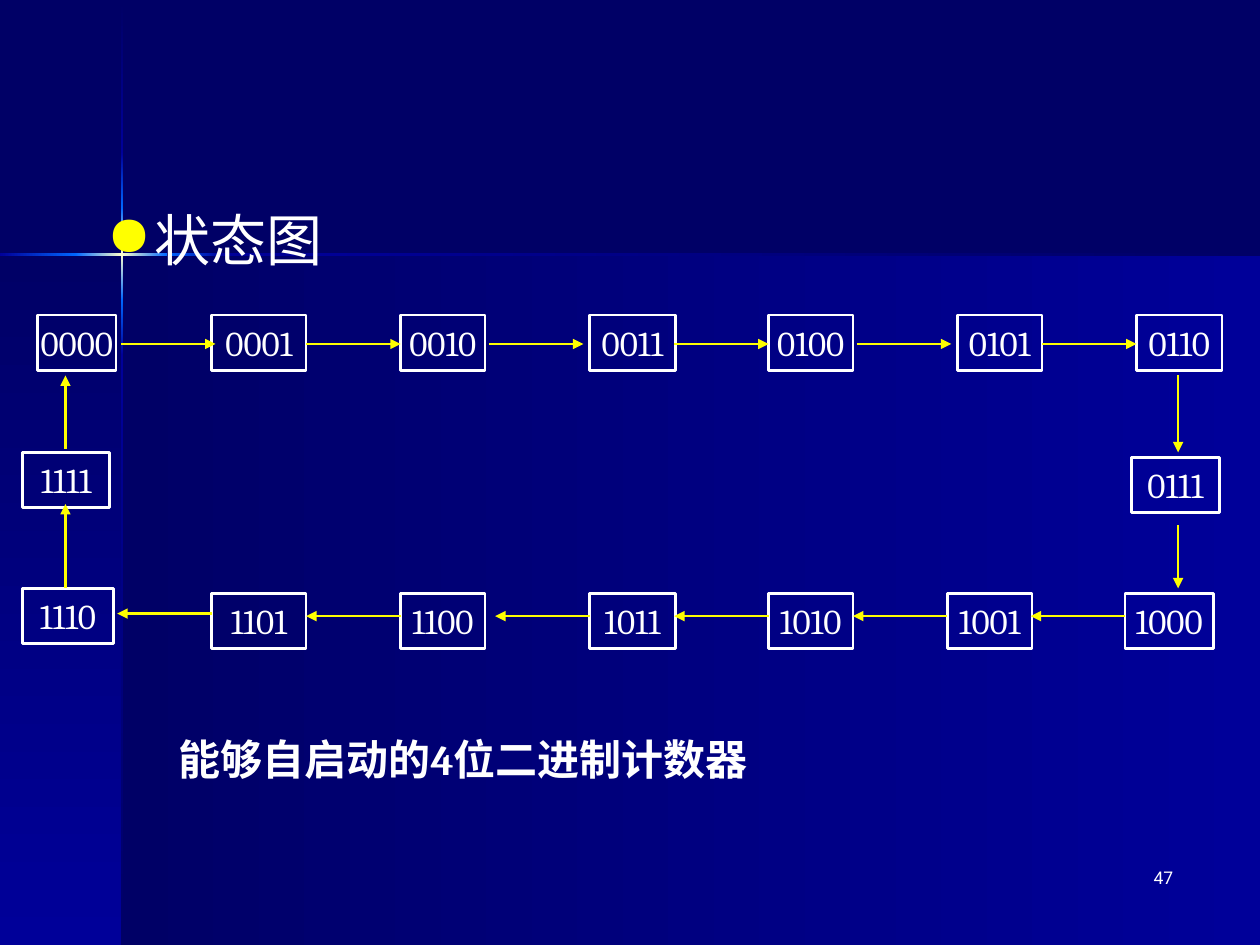
"""Build the state diagram slide of a self-starting 4-bit binary counter."""
from copy import deepcopy

from lxml import etree
from pptx import Presentation
from pptx import util as u
from pptx.dml.color import RGBColor
from pptx.enum import shapes, text
from pptx.oxml.ns import qn

COLORS = {
    "night": "000066",
    "navy": "000099",
    "azure": "0066FF",
    "cream": "FFFFCC",
    "white": "FFFFFF",
    "yellow": "FFFF00",
}
PANELS = [
    ((0.97, 2.02, 9.03, 5.48), ("night", "navy"), 0),
    ((0, 2.02, 0.97, 5.48), ("night", "navy"), 90),
]
GLOW = ("azure", "cream", "azure")
VERTICAL_BEAM = [
    (0.01, 1.21, ("night", "navy")),
    (2.82, 4.68, ("navy", "night")),
    (2.38, 0.44, ("azure", "navy")),
    (1.21, 0.44, ("navy", "azure")),
    (1.65, 0.73, GLOW),
]
HORIZONTAL_BEAM = [
    (1.77, 8.23, ("navy", "night")),
    (0, 0.61, ("navy", "azure")),
    (1.33, 0.44, ("azure", "navy")),
    (0.6, 0.73, GLOW),
]
STATE_HEIGHT = 0.44
TOP_ROW, BOTTOM_ROW = 2.5, 4.71
STATES = [
    (0.3, TOP_ROW, 0.62), (1.68, TOP_ROW, 0.75), (3.18, TOP_ROW, 0.67),
    (4.68, TOP_ROW, 0.68), (6.1, TOP_ROW, 0.67), (7.6, TOP_ROW, 0.67),
    (9.02, TOP_ROW, 0.68), (8.98, 3.63, 0.7), (8.93, BOTTOM_ROW, 0.7),
    (7.52, BOTTOM_ROW, 0.67), (6.1, BOTTOM_ROW, 0.67), (4.68, BOTTOM_ROW, 0.68),
    (3.18, BOTTOM_ROW, 0.67), (1.68, BOTTOM_ROW, 0.75), (0.18, 4.67, 0.72),
    (0.18, 3.59, 0.69),
]
ARROW_LENGTH = 0.75
RIGHTWARD_STARTS = (0.96, 2.43, 3.88, 5.35, 6.8, 8.27)
LEFTWARD_ENDS = ((0.93, 4.87), (2.43, 4.89), (3.93, 4.89),
                 (5.35, 4.89), (6.77, 4.89), (8.18, 4.89))
SIDE_ARROWS = [(9.35, 2.98, 3.59), (9.35, 4.17, 4.67),
               (0.52, 4.67, 4), (0.52, 3.56, 2.98)]


def color(name):
    """Return the named colour."""
    return RGBColor.from_string(COLORS[name])


def inches(values):
    """Turn numbers into lengths."""
    return [u.Inches(value) for value in values]


def add_rectangle(slide, place):
    """Add a plain rectangle without a shadow."""
    rectangle = slide.shapes.add_shape(shapes.MSO_SHAPE.RECTANGLE, *inches(place))
    rectangle.shadow.inherit = False
    return rectangle


def add_gradient(slide, place, shades, angle):
    """Add a borderless rectangle with evenly spaced gradient shades."""
    band = add_rectangle(slide, place)
    band.line.fill.background()
    band.fill.gradient()
    band.fill.gradient_angle = -angle % 360
    stop_list = band._element.spPr.find(".//" + qn("a:gsLst"))
    for _ in shades[2:]:
        stop_list.append(deepcopy(stop_list[-1]))
    for index, (stop, shade) in enumerate(zip(band.fill.gradient_stops, shades)):
        stop.color.rgb = color(shade)
        stop_list[index].set("pos", str(100000 * index // (len(shades) - 1)))


def add_backdrop(slide):
    """Draw the gradient panels and the two crossing light beams."""
    for place, shades, angle in PANELS:
        add_gradient(slide, place, shades, angle)
    for top, height, shades in VERTICAL_BEAM:
        add_gradient(slide, (0.96, top, 0.02, height), shades, 90)
    for left, width, shades in HORIZONTAL_BEAM:
        add_gradient(slide, (left, 2.01, width, 0.02), shades, 0)


def write(shape, words, frame_format, paragraph_format, font_format):
    """Write one white paragraph with the given formats."""
    frame = shape.text_frame
    paragraph = frame.paragraphs[0]
    paragraph.text = words
    targets = ((frame, {"word_wrap": True, **frame_format}),
               (paragraph, paragraph_format),
               (paragraph.font, font_format))
    for target, formats in targets:
        for attribute, value in formats.items():
            setattr(target, attribute, value)
    paragraph.font.color.rgb = color("white")
    return paragraph


def add_label(slide, place, words, font_format, paragraph_format=None):
    """Add a text box with one paragraph."""
    box = slide.shapes.add_textbox(*inches(place))
    return write(box, words, {}, paragraph_format or {}, font_format)


def add_heading(slide):
    """Add the heading with its round yellow bullet."""
    heading = add_label(slide, (0.75, 1.58, 8.67, 5.08), "状态图",
                        {"name": "Roboto", "size": u.Pt(32)})
    properties = heading._p.get_or_add_pPr()
    properties.set("marL", str(u.Inches(0.38)))
    properties.set("indent", str(-u.Inches(0.38)))
    bullet_color = etree.Element(qn("a:buClr"))
    etree.SubElement(bullet_color, qn("a:srgbClr"), val=COLORS["yellow"])
    bullet = etree.Element(qn("a:buChar"), char="●")
    properties.insert(0, bullet_color)
    properties.insert(1, bullet)


def add_state(slide, number, left, top, width):
    """Add the outlined box of one counter state."""
    state = add_rectangle(slide, (left, top, width, STATE_HEIGHT))
    state.fill.background()
    state.line.color.rgb = color("white")
    state.line.width = u.Pt(1.5)
    write(state, f"{number:04b}",
          {"margin_left": 0, "margin_right": 0, "word_wrap": number > 0,
           "vertical_anchor": text.MSO_ANCHOR.TOP,
           "auto_size": text.MSO_AUTO_SIZE.SHAPE_TO_FIT_TEXT},
          {"alignment": text.PP_ALIGN.CENTER},
          {"name": "Cambria", "size": u.Pt(20)})


def add_arrow(slide, *ends):
    """Add a yellow arrow from the first point to the second."""
    arrow = slide.shapes.add_connector(shapes.MSO_CONNECTOR.STRAIGHT, *inches(ends))
    arrow.line.color.rgb = color("yellow")
    arrow.line.width = u.Pt(1.5)
    etree.SubElement(arrow.line._get_or_add_ln(), qn("a:tailEnd"), type="triangle")
    etree.SubElement(arrow._element.spPr, qn("a:effectLst"))


def add_transitions(slide):
    """Connect the states in counting order."""
    for left in RIGHTWARD_STARTS:
        add_arrow(slide, left, 2.73, left + ARROW_LENGTH, 2.73)
    for left, height in LEFTWARD_ENDS:
        add_arrow(slide, left + ARROW_LENGTH, height, left, height)
    for left, start, end in SIDE_ARROWS:
        add_arrow(slide, left, start, left, end)


def main():
    """Build and save the slide."""
    deck = Presentation()
    deck.slide_width, deck.slide_height = inches((10, 7.5))
    slide = deck.slides.add_slide(deck.slide_layouts[6])
    slide.background.fill.solid()
    slide.background.fill.fore_color.rgb = color("night")
    add_backdrop(slide)
    add_heading(slide)
    add_label(slide, (7.33, 6.83, 2.08, 0.5), "47",
              {"name": "Roboto", "size": u.Pt(10)},
              {"alignment": text.PP_ALIGN.RIGHT})
    for number, place in enumerate(STATES):
        add_state(slide, number, *place)
    add_transitions(slide)
    add_label(slide, (1.32, 5.77, 7.01, 0.5), "能够自启动的4位二进制计数器",
              {"name": "Cambria", "size": u.Pt(24), "bold": True})
    deck.save("out.pptx")


if __name__ == "__main__":
    main()
